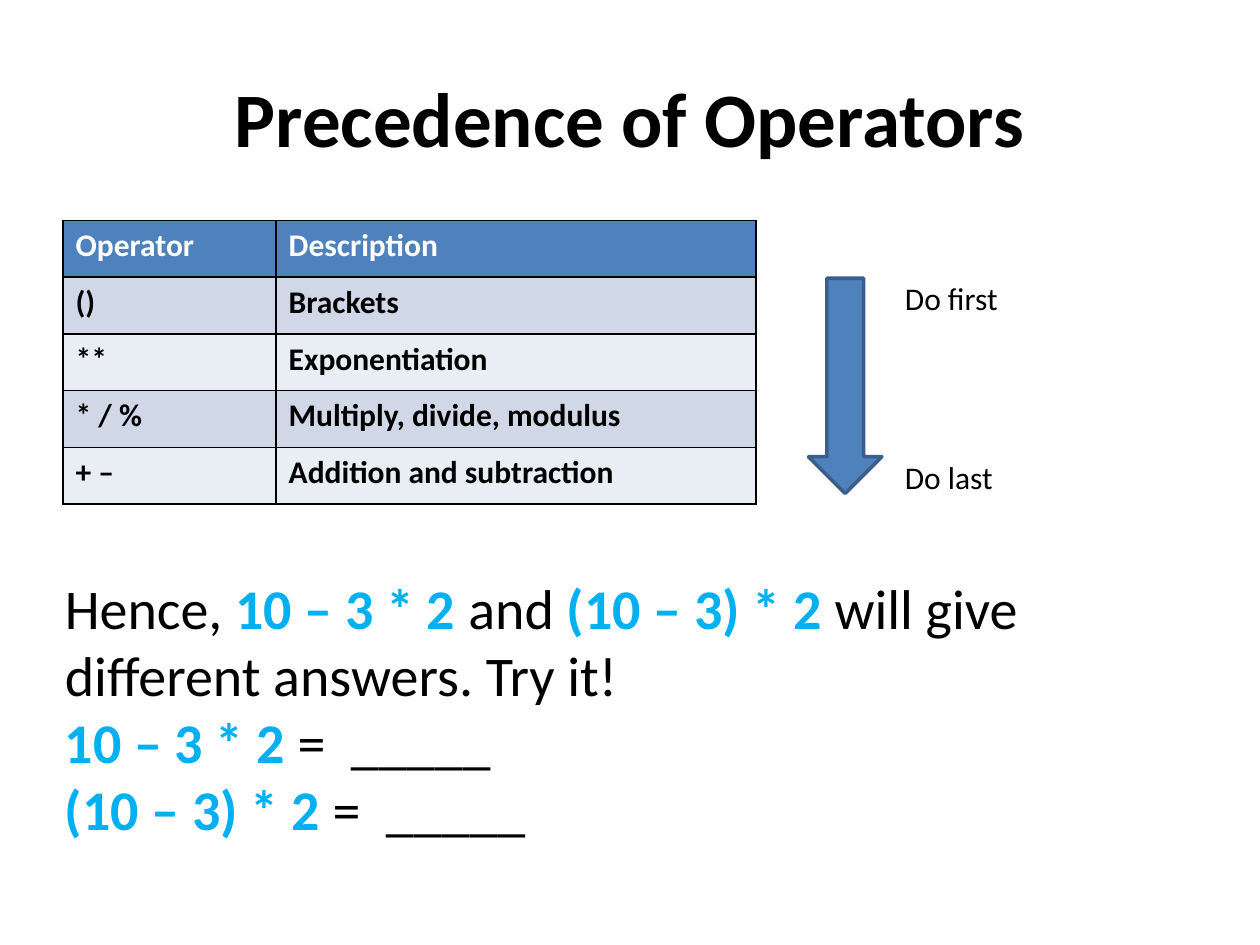
"""Build a slide on the precedence of arithmetic operators."""
from dataclasses import dataclass

from lxml import etree
from pptx import Presentation
from pptx.dml.color import RGBColor
from pptx.enum.shapes import MSO_SHAPE
from pptx.enum.text import MSO_ANCHOR, PP_ALIGN
from pptx.oxml.ns import qn
from pptx.util import Inches, Pt

DOWN_ARROW = MSO_SHAPE.DOWN_ARROW
TOP, MIDDLE = MSO_ANCHOR.TOP, MSO_ANCHOR.MIDDLE
LEFT, CENTER = PP_ALIGN.LEFT, PP_ALIGN.CENTER
UNITS_PER_INCH = 12


@dataclass(frozen=True)
class Theme:
    """Font, colours and type sizes of the slide."""
    font: str = "Calibri"
    text: str = "000000"
    inverse: str = "FFFFFF"
    code: str = "00B0F0"
    accent: str = "4F81BD"
    accent_line: str = "3A5F8C"
    bands: tuple[str, str] = ("D0D8E8", "E9EDF4")
    title: int = 44
    body: int = 32
    label: int = 18


@dataclass(frozen=True)
class Box:
    """A rectangle on the grid of twelfths of an inch."""
    col: float
    row: float
    cols: float
    rows: float

    def emu(self) -> tuple[int, int, int, int]:
        """Return left, top, width and height as slide lengths."""
        return (units(self.col), units(self.row),
                units(self.cols), units(self.rows))


@dataclass(frozen=True)
class Span:
    """A stretch of text with one colour and weight."""
    text: str
    color: str
    bold: bool = False


@dataclass(frozen=True)
class TextBlock:
    """A text box with its paragraphs of spans."""
    box: Box
    size: int
    paragraphs: list[list[Span]]
    align: PP_ALIGN = LEFT
    anchor: MSO_ANCHOR = TOP


THEME = Theme()
DIFFERENCE = Span("10 – 3 * 2 ", THEME.code, True)
BRACKETED = Span("(10 – 3) * 2 ", THEME.code, True)
BLANK = Span("=  _____", THEME.text)

TEXT_BLOCKS = [
    TextBlock(Box(6, 3.6, 108, 15), THEME.title,
              [[Span("Precedence of Operators", THEME.text, True)]],
              CENTER, MIDDLE),
    TextBlock(Box(85, 26, 20, 5), THEME.label,
              [[Span("Do first", THEME.text)]]),
    TextBlock(Box(85, 43, 17, 5), THEME.label,
              [[Span("Do last", THEME.text)]]),
    TextBlock(Box(5, 54, 109, 27.1), THEME.body, [
        [Span("Hence, ", THEME.text), DIFFERENCE, Span("and ", THEME.text),
         BRACKETED, Span("will give different answers. Try it!", THEME.text)],
        [DIFFERENCE, BLANK],
        [BRACKETED, BLANK],
    ]),
]
OPERATORS = [
    ("Operator", "Description"),
    ("()", "Brackets"),
    ("**", "Exponentiation"),
    ("* / %", "Multiply, divide, modulus"),
    ("+ –", "Addition and subtraction"),
]
TABLE_BOX = Box(6, 21, 66, 27)
TABLE_COLS = (20.3, 45.7)
ARROW_BOX = Box(77, 26.5, 7, 20.5)


def units(count: float) -> int:
    """Convert grid units to a slide length."""
    return Inches(count / UNITS_PER_INCH)


def style_run(r, size: int, color: str, bold: bool) -> None:
    """Apply the theme font with a size, colour and weight."""
    r.font.name = THEME.font
    r.font.size = Pt(size)
    r.font.bold = bold
    r.font.color.rgb = RGBColor.from_string(color)


def add_text(s, block: TextBlock) -> None:
    """Draw one text block."""
    tf = s.shapes.add_textbox(*block.box.emu()).text_frame
    tf.word_wrap = True
    tf.vertical_anchor = block.anchor
    for i, spans in enumerate(block.paragraphs):
        p = tf.add_paragraph() if i else tf.paragraphs[0]
        p.alignment = block.align
        for span in spans:
            r = p.add_run()
            r.text = span.text
            style_run(r, block.size, span.color, span.bold)


def add_borders(cell, color: str) -> None:
    """Give a cell a one-point line on each side."""
    tc_pr = cell._tc.get_or_add_tcPr()
    for i, side in enumerate(("a:lnL", "a:lnR", "a:lnT", "a:lnB")):
        ln = etree.Element(qn(side), w=str(Pt(1)))
        fill = etree.SubElement(ln, qn("a:solidFill"))
        etree.SubElement(fill, qn("a:srgbClr"), val=color)
        tc_pr.insert(i, ln)


def add_operator_table(s, box: Box, rows: list[tuple[str, str]]) -> None:
    """Draw the operators with a header row and banded body rows."""
    table = s.shapes.add_table(len(rows), len(TABLE_COLS), *box.emu()).table
    for column, width in zip(table.columns, TABLE_COLS):
        column.width = units(width)
    for i, texts in enumerate(rows):
        fill = THEME.bands[(i - 1) % 2] if i else THEME.accent
        color = THEME.text if i else THEME.inverse
        for j, text in enumerate(texts):
            cell = table.cell(i, j)
            cell.fill.solid()
            cell.fill.fore_color.rgb = RGBColor.from_string(fill)
            add_borders(cell, THEME.text)
            cell.text_frame.text = text
            style_run(cell.text_frame.paragraphs[0].runs[0],
                      THEME.label, color, True)


def add_order_arrow(s, box: Box) -> None:
    """Draw the arrow from the first to the last operation."""
    sp = s.shapes.add_shape(DOWN_ARROW, *box.emu())
    sp.shadow.inherit = False
    sp.fill.solid()
    sp.fill.fore_color.rgb = RGBColor.from_string(THEME.accent)
    sp.line.color.rgb = RGBColor.from_string(THEME.accent_line)
    sp.line.width = Pt(2)


def main() -> None:
    """Build and save the slide."""
    prs = Presentation()
    prs.slide_width, prs.slide_height = Inches(10), Inches(7.5)
    s = prs.slides.add_slide(prs.slide_layouts[6])
    add_operator_table(s, TABLE_BOX, OPERATORS)
    add_order_arrow(s, ARROW_BOX)
    for block in TEXT_BLOCKS:
        add_text(s, block)
    prs.save("out.pptx")


if __name__ == "__main__":
    main()
